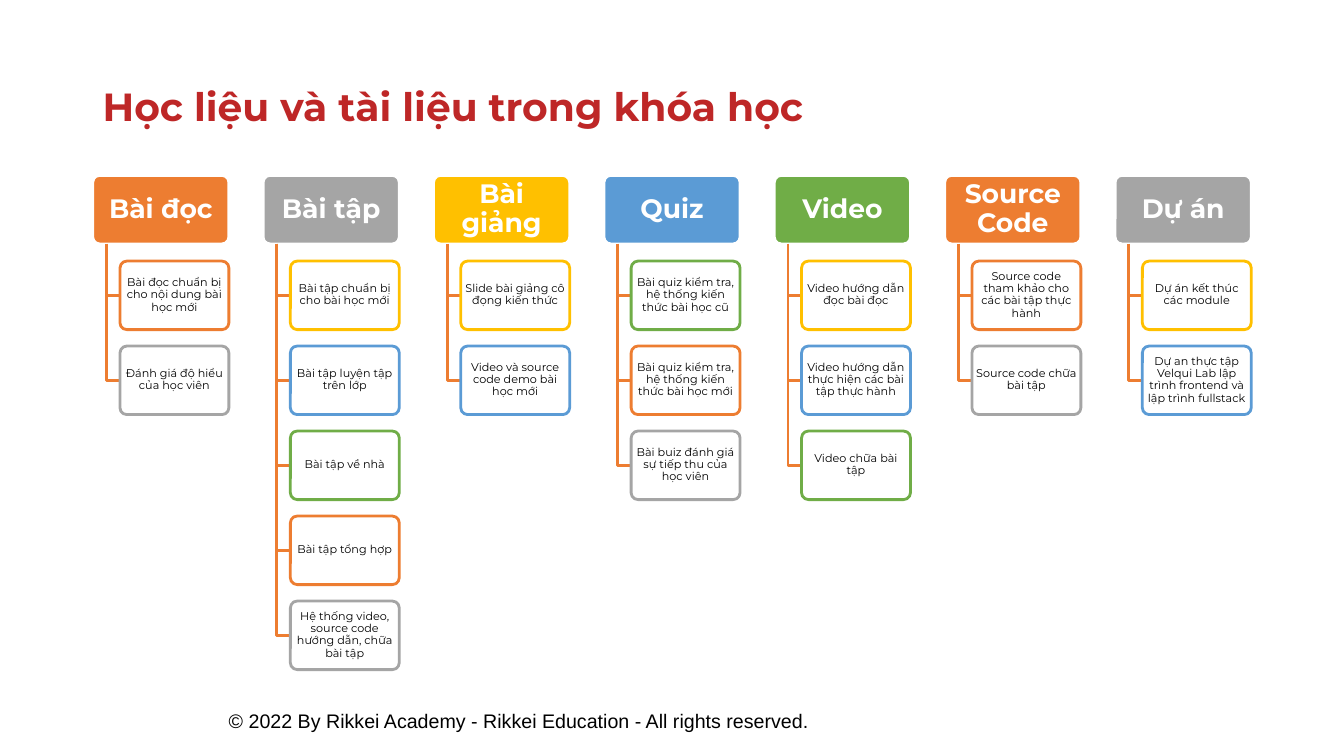
from pptx import Presentation
from pptx.dml.color import RGBColor
from pptx.enum.shapes import MSO_SHAPE
from pptx.enum.text import MSO_ANCHOR, PP_ALIGN
from pptx.util import Inches, Pt

ROUND = MSO_SHAPE.ROUNDED_RECTANGLE
MID, TOP = MSO_ANCHOR.MIDDLE, MSO_ANCHOR.TOP
LEFT, MIDDLE = PP_ALIGN.LEFT, PP_ALIGN.CENTER

COLORS = {
    "orange": "ED7D31", "gray": "A5A5A5", "gold": "FFC000",
    "blue": "5B9BD5", "green": "70AD47", "red": "BE2727",
    "white": "FFFFFF", "black": "000000",
}

GROUPS = [
    ("Bài đọc", "orange", [
        ("Bài đọc chuẩn bị cho nội dung bài học mới", "orange"),
        ("Đánh giá độ hiểu của học viên", "gray")]),
    ("Bài tập", "gray", [
        ("Bài tập chuẩn bị cho bài học mới", "gold"),
        ("Bài tập luyện tập trên lớp", "blue"),
        ("Bài tập về nhà", "green"),
        ("Bài tập tổng hợp", "orange"),
        ("Hệ thống video, source code hướng dẫn, chữa bài tập", "gray")]),
    ("Bài giảng", "gold", [
        ("Slide bài giảng cô đọng kiến thức", "gold"),
        ("Video và source code demo bài học mới", "blue")]),
    ("Quiz", "blue", [
        ("Bài quiz kiểm tra, hệ thống kiến thức bài học cũ", "green"),
        ("Bài quiz kiểm tra, hệ thống kiến thức bài học mới", "orange"),
        ("Bài buiz đánh giá sự tiếp thu của học viên", "gray")]),
    ("Video", "green", [
        ("Video hướng dẫn đọc bài đọc", "gold"),
        ("Video hướng dẫn thực hiện các bài tập thực hành", "blue"),
        ("Video chữa bài tập", "green")]),
    ("Source Code", "orange", [
        ("Source code tham khảo cho các bài tập thực hành", "orange"),
        ("Source code chữa bài tập", "gray")]),
    ("Dự án", "gray", [
        ("Dự án kết thúc các module", "gold"),
        ("Dự an thực tập Velqui Lab lập trình frontend và lập trình fullstack",
         "blue")]),
]

HEAD_W, BOX_H = 1.35, 0.68
ITEM_W = HEAD_W * 0.8
INDENT = HEAD_W - ITEM_W
ROW_STEP = BOX_H * 1.24


def tint(name):
    return RGBColor.from_string(COLORS[name])


def write(shape, text, size, color="black", font="Montserrat", bold=False,
          align=MIDDLE, anchor=MID, pad=(0.1, 0.05), lead=0.9):
    frame = shape.text_frame
    frame.word_wrap = True
    frame.vertical_anchor = anchor
    frame.margin_left = frame.margin_right = Inches(pad[0])
    frame.margin_top = frame.margin_bottom = Inches(pad[1])
    para = frame.paragraphs[0]
    para.alignment = align
    para.line_spacing = lead
    run = para.add_run()
    run.text = text
    run.font.name = font
    run.font.size = Pt(size)
    run.font.bold = bold
    run.font.color.rgb = tint(color)


def label(slide, box, text, size, **form):
    shape = slide.shapes.add_textbox(*map(Inches, box))
    write(shape, text, size, align=LEFT, **form)


def card(slide, box, fill, line):
    shape = slide.shapes.add_shape(ROUND, *map(Inches, box))
    shape.adjustments[0] = 0.1
    shape.shadow.inherit = False
    shape.fill.solid()
    shape.fill.fore_color.rgb = tint(fill)
    shape.line.color.rgb = tint(line)
    shape.line.width = Pt(2)
    return shape


def elbow(slide, left, top, right, bottom):
    left, top, right, bottom = map(Inches, (left, top, right, bottom))
    pen = slide.shapes.build_freeform(left, top)
    pen.add_line_segments([(left, bottom), (right, bottom)], close=False)
    shape = pen.convert_to_shape()
    shape.shadow.inherit = False
    shape.fill.background()
    shape.line.color.rgb = tint("orange")
    shape.line.width = Pt(2)


def column(slide, left, top, title, color, items):
    head = card(slide, (left, top, HEAD_W, BOX_H), color, "white")
    write(head, title, 19, color="white", bold=True, pad=(0.04, 0.03))
    inner = left + INDENT
    base = top + BOX_H
    for row, (text, line) in enumerate(items):
        y = base + BOX_H / 4 + row * ROW_STEP
        elbow(slide, left + INDENT / 2, base, inner, y + BOX_H / 2)
        item = card(slide, (inner, y, ITEM_W, BOX_H), "white", line)
        write(item, text, 8, pad=(0.02, 0.01))


def chart(slide, left, top, step):
    for place, group in enumerate(GROUPS):
        column(slide, left + place * step, top, *group)


def main():
    deck = Presentation()
    deck.slide_width, deck.slide_height = Inches(13.33), Inches(7.5)
    slide = deck.slides.add_slide(deck.slide_layouts[6])
    label(slide, (2.17, 6.93, 7.79, 0.44),
          "© 2022 By Rikkei Academy - Rikkei Education - All rights reserved.",
          14, font="Arial", anchor=TOP, pad=(0.1, 0.1), lead=1.0)
    label(slide, (0.92, 0.56, 9.26, 1.03),
          "Học liệu và tài liệu trong khóa học", 28, color="red", bold=True)
    chart(slide, 0.92, 1.74, 1.69)
    deck.save("out.pptx")


if __name__ == "__main__":
    main()
